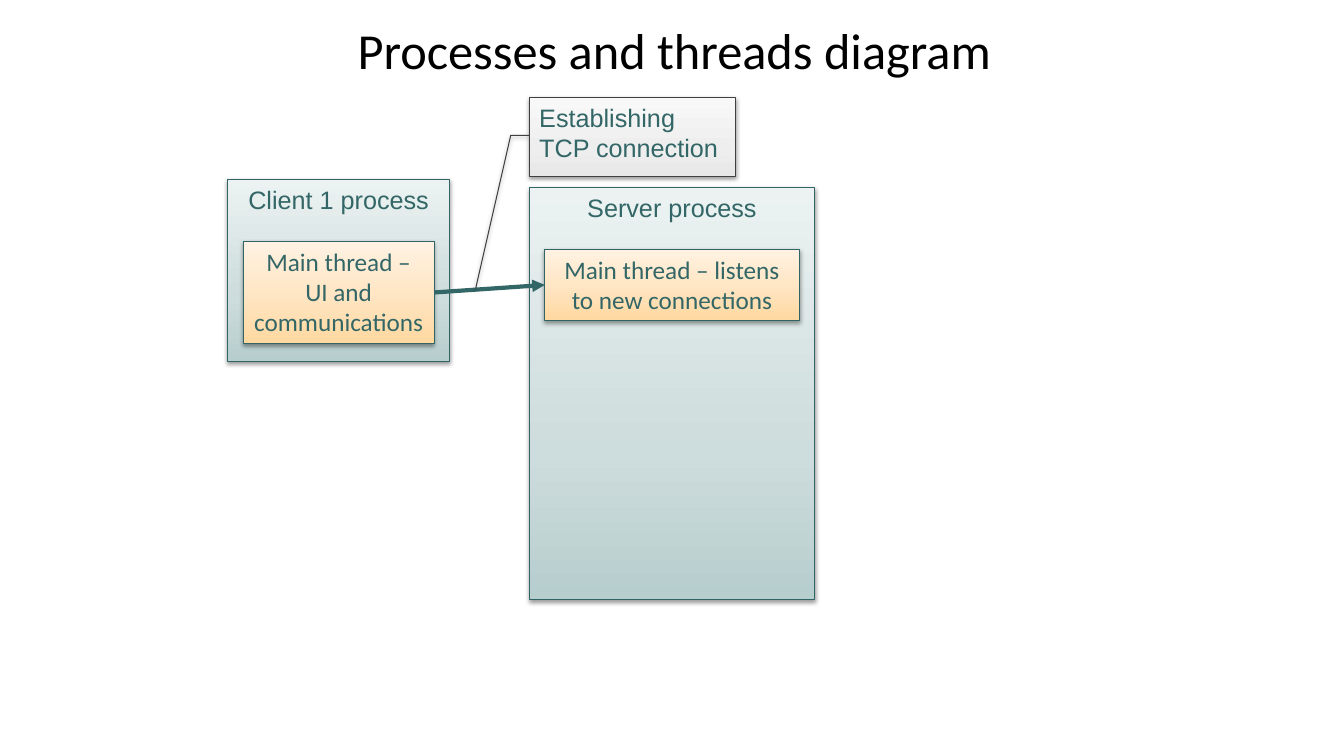
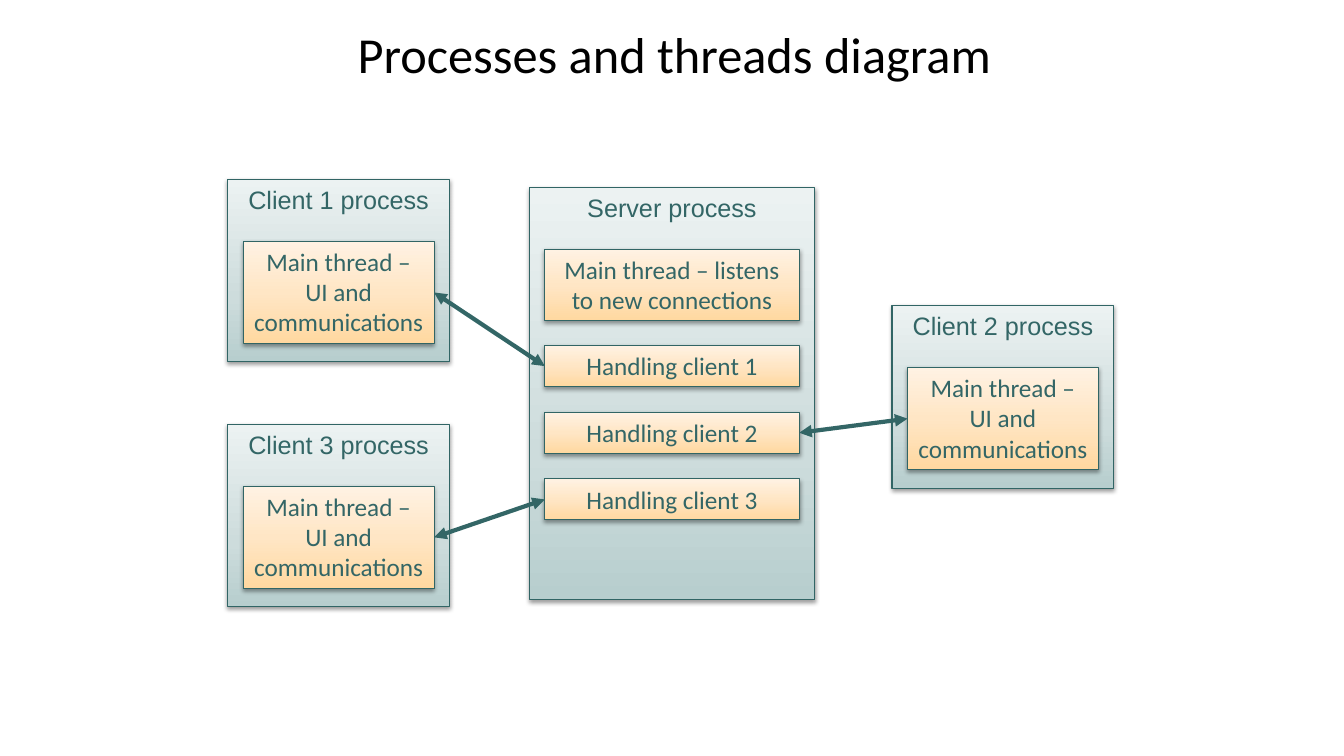
from copy import deepcopy
from dataclasses import dataclass

from lxml.etree import SubElement
from pptx import Presentation
from pptx.dml.color import RGBColor
from pptx.enum.shapes import MSO_CONNECTOR, MSO_SHAPE
from pptx.enum.text import MSO_ANCHOR, MSO_AUTO_SIZE, PP_ALIGN
from pptx.oxml import parse_xml
from pptx.oxml.ns import nsdecls, qn
from pptx.shapes.autoshape import Shape
from pptx.shapes.connector import Connector
from pptx.slide import Slide
from pptx.util import Cm, Pt

COLORS = {
    "title": "000000",
    "text": "336666",
    "arrow": "336666",
    "edge": "316565",
    "callout edge": "404040",
}
GRADIENTS = {  # bottom to top: position and colour
    "process": ((0, "B7CECE"), (0.35, "CDDCDC"), (1, "ECF2F2")),
    "thread": ((0, "FFD8A0"), (0.5, "FFE6C5"), (1, "FFF2E3")),
    "callout": ((0, "E7E7E7"), (0.35, "EEEEEE"), (1, "F8F8F8")),
}
SHADOW = (
    f'<a:outerShdw {nsdecls("a")} blurRad="40000" dist="20000" dir="5400000" '
    'rotWithShape="0"><a:srgbClr val="000000"><a:alpha val="38000"/>'
    "</a:srgbClr></a:outerShdw>"
)
TITLE = "Processes and threads diagram"
LEFT_SITE, RIGHT_SITE = 1, 3
THREAD_INDENT = 0.39
THREAD_DROP = 1.56
HANDLER_DROP = 3.99
HANDLER_STEP = 1.68


@dataclass(frozen=True)
class Area:
    """Place and size in centimetres."""
    left: float
    top: float
    width: float
    height: float


@dataclass(frozen=True)
class Client:
    number: int
    left: float
    top: float


SERVER = Area(13.34, 4.72, 7.19, 10.39)
CALLOUT = Area(13.34, 2.45, 5.2, 2)
CALLOUT_POINTS = (0.48, 0, 0.48, -0.09, 2.41, -0.26)
CLIENT_1 = Client(1, 5.74, 4.52)
CLIENT_2 = Client(2, 22.48, 7.7)
CLIENT_3 = Client(3, 5.74, 10.69)


def color(name: str) -> RGBColor:
    return RGBColor.from_string(COLORS[name])


def add_page(deck, title_area: Area) -> Slide:
    page = deck.slides.add_slide(deck.slide_layouts.get_by_name("Title Only"))
    title = page.shapes.title
    title.left, title.top = Cm(title_area.left), Cm(title_area.top)
    title.width, title.height = Cm(title_area.width), Cm(title_area.height)
    frame = title.text_frame
    frame.text = TITLE
    frame.vertical_anchor = MSO_ANCHOR.MIDDLE
    para = frame.paragraphs[0]
    para.alignment = PP_ALIGN.CENTER
    para.font.name = "Calibri"
    para.font.size = Pt(36)
    para.font.color.rgb = color("title")
    return page


def paint_gradient(shape: Shape, kind: str) -> None:
    shape.fill.gradient()
    shape.fill.gradient_angle = 90
    stop_list = shape.element.spPr.find(f".//{qn('a:gsLst')}")
    stop_list.insert(1, deepcopy(stop_list[0]))
    for stop, (position, hex_color) in zip(shape.fill.gradient_stops, GRADIENTS[kind]):
        stop.position = position
        stop.color.rgb = RGBColor.from_string(hex_color)


def add_box(shapes, area: Area, text: str, kind: str) -> Shape:
    """Draw a process, thread or callout box with its text."""
    preset = MSO_SHAPE.LINE_CALLOUT_2 if kind == "callout" else MSO_SHAPE.RECTANGLE
    box = shapes.add_shape(
        preset, Cm(area.left), Cm(area.top), Cm(area.width), Cm(area.height)
    )
    paint_gradient(box, kind)
    box.line.color.rgb = color("callout edge" if kind == "callout" else "edge")
    box.line.width = Pt(0.75)
    box.shadow.inherit = False
    box.element.spPr.find(qn("a:effectLst")).append(parse_xml(SHADOW))

    frame = box.text_frame
    frame.text = text
    frame.vertical_anchor = MSO_ANCHOR.TOP
    frame.word_wrap = kind == "thread"
    if kind == "thread":
        frame.auto_size = MSO_AUTO_SIZE.SHAPE_TO_FIT_TEXT
    for para in frame.paragraphs:
        para.alignment = PP_ALIGN.LEFT if kind == "callout" else PP_ALIGN.CENTER
        para.font.name = "Calibri" if kind == "thread" else "Arial"
        para.font.size = Pt(18)
        para.font.color.rgb = color("text")
    return box


def add_client(page: Slide, client: Client) -> Shape:
    """Draw a client process and return its thread box."""
    group = page.shapes.add_group_shape()
    process = Area(client.left, client.top, 5.59, 4.6)
    add_box(group.shapes, process, f"Client {client.number} process", "process")
    thread = Area(client.left + THREAD_INDENT, client.top + THREAD_DROP, 4.81, 2.58)
    return add_box(group.shapes, thread, "Main thread – UI and communications", "thread")


def add_server_thread(page: Slide, drop: float, height: float, text: str) -> Shape:
    width = SERVER.width - 2 * THREAD_INDENT
    area = Area(SERVER.left + THREAD_INDENT, SERVER.top + drop, width, height)
    return add_box(page.shapes, area, text, "thread")


def add_server(page: Slide) -> Shape:
    """Draw the server process and return its main thread box."""
    add_box(page.shapes, SERVER, "Server process", "process")
    return add_server_thread(
        page, THREAD_DROP, 1.8, "Main thread – listens to new connections"
    )


def add_arrow(
    page: Slide, start: Shape, start_site: int, end: Shape, end_site: int, ends: tuple[str, ...]
) -> Connector:
    arrow = page.shapes.add_connector(MSO_CONNECTOR.STRAIGHT, 0, 0, 0, 0)
    arrow.begin_connect(start, start_site)
    arrow.end_connect(end, end_site)
    arrow.line.color.rgb = color("arrow")
    arrow.line.width = Pt(3)
    for end_name in ends:
        SubElement(arrow.get_or_add_ln(), qn(f"a:{end_name}"), type="triangle")
    SubElement(arrow.element.spPr, qn("a:effectLst"))
    return arrow


def build_connecting_page(deck) -> None:
    page = add_page(deck, Area(5.54, -0.08, 22.91, 2.64))
    listener = add_server(page)
    client = add_client(page, CLIENT_1)
    add_arrow(page, client, RIGHT_SITE, listener, LEFT_SITE, ("tailEnd",))
    callout = add_box(page.shapes, CALLOUT, "Establishing\nTCP connection", "callout")
    for index, point in enumerate(CALLOUT_POINTS):
        callout.adjustments[index] = point


def build_handling_page(deck) -> None:
    page = add_page(deck, Area(1.73, 0.03, 30.53, 2.64))
    add_server(page)
    for index, client in enumerate((CLIENT_1, CLIENT_2, CLIENT_3)):
        drop = HANDLER_DROP + index * HANDLER_STEP
        handler = add_server_thread(page, drop, 1.03, f"Handling client {client.number}")
        thread = add_client(page, client)
        if client.left < SERVER.left:
            sites = RIGHT_SITE, LEFT_SITE
        else:
            sites = LEFT_SITE, RIGHT_SITE
        add_arrow(page, thread, sites[0], handler, sites[1], ("headEnd", "tailEnd"))


def main() -> None:
    deck = Presentation()
    deck.slide_width, deck.slide_height = Cm(33.87), Cm(19.05)
    build_connecting_page(deck)
    build_handling_page(deck)
    deck.save("out.pptx")


if __name__ == "__main__":
    main()
